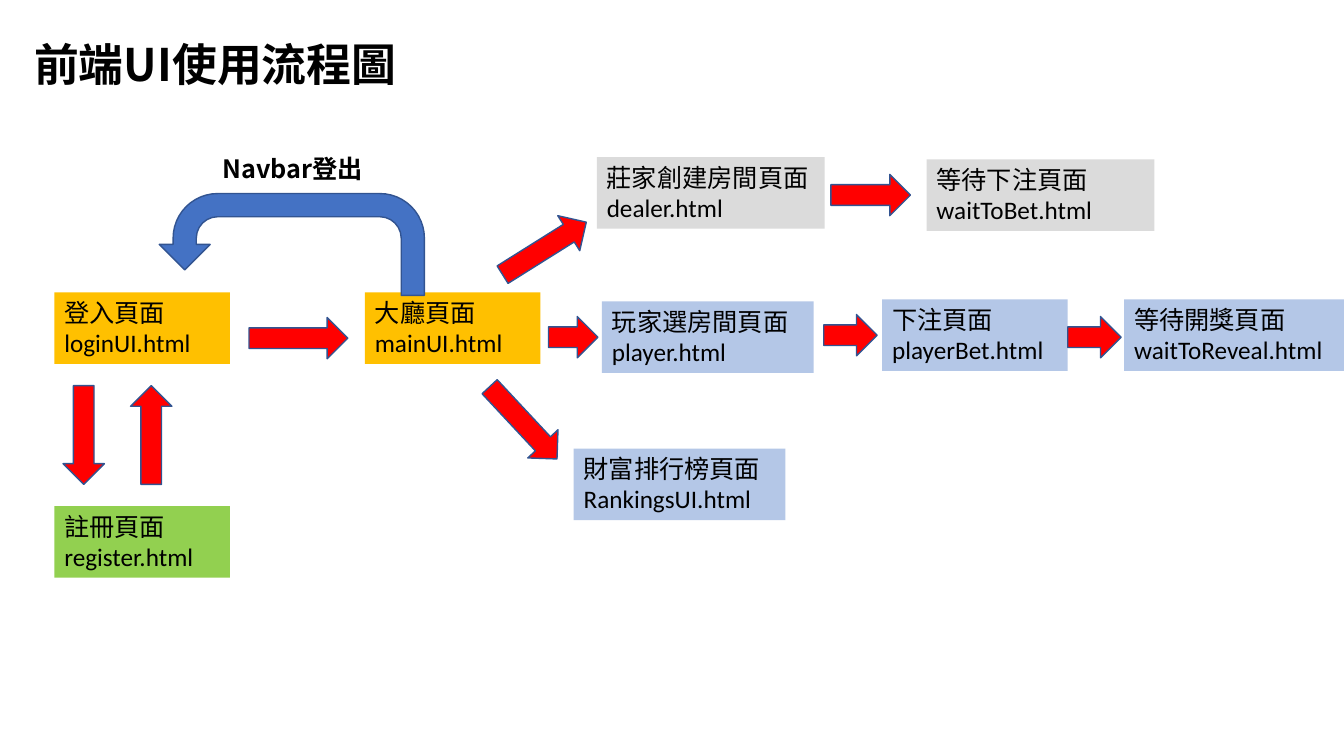
from pptx import Presentation
from pptx.dml.color import RGBColor
from pptx.enum.shapes import MSO_SHAPE
from pptx.enum.text import MSO_ANCHOR, PP_ALIGN
from pptx.oxml.ns import qn
from pptx.util import Inches, Pt

COLORS = {
    "gold": "FFC000", "green": "92D050", "gray": "DBDBDB", "pale": "B4C7E7",
    "red": "FF0000", "blue": "4472C4", "edge": "325491", "ink": "000000",
}
BODY, HEAD = "Calibri", "Noto Sans CJK SC"
PAGE_H, ARROW_H = 0.71, 0.41

PAGES = [
    (0.54, 2.9, 1.74, "gold", "登入頁面", "loginUI.html"),
    (0.54, 5.02, 1.74, "green", "註冊頁面", "register.html"),
    (3.62, 2.9, 1.74, "gold", "大廳頁面", "mainUI.html"),
    (5.92, 1.56, 2.26, "gray", "莊家創建房間頁面", "dealer.html"),
    (9.19, 1.58, 2.26, "gray", "等待下注頁面", "waitToBet.html"),
    (5.97, 2.99, 2.1, "pale", "玩家選房間頁面", "player.html"),
    (8.75, 2.97, 1.84, "pale", "下注頁面", "playerBet.html"),
    (11.15, 2.97, 2.19, "pale", "等待開獎頁面", "waitToReveal.html"),
    (5.69, 4.45, 2.1, "pale", "財富排行榜頁面", "RankingsUI.html"),
]
ARROWS = [
    (2.47, 3.15, 0.98, 0),
    (0.34, 4.11, 0.98, 90),
    (1.01, 4.11, 0.98, 270),
    (4.91, 2.26, 0.98, 327.9),
    (8.24, 1.73, 0.79, 0),
    (5.44, 3.14, 0.49, 0),
    (8.17, 3.12, 0.53, 0),
    (10.59, 3.14, 0.53, 0),
    (4.7, 3.99, 0.98, 47),
]


def color(name):
    """Return the named colour."""
    return RGBColor.from_string(COLORS[name])


def write(shape, text, size, font, bold=False):
    """Write left-aligned text into a shape and format its runs."""
    frame = shape.text_frame
    frame.text = text
    frame.word_wrap = True
    frame.vertical_anchor = MSO_ANCHOR.TOP
    for para in frame.paragraphs:
        para.alignment = PP_ALIGN.LEFT
        for run in para.runs:
            run.font.size = Pt(size)
            run.font.name = font
            run.font.bold = bold
            run.font.color.rgb = color("ink")
            if font == HEAD:
                props = run.font._element
                props.find(qn("a:latin")).addnext(
                    props.makeelement(qn("a:ea"), {"typeface": font}))


def block(slide, kind, box, fill, edge=None):
    """Add a filled shape, outlined when an edge colour is given."""
    shape = slide.shapes.add_shape(kind, *map(Inches, box))
    shape.shadow.inherit = False
    shape.fill.solid()
    shape.fill.fore_color.rgb = color(fill)
    if edge:
        shape.line.color.rgb = color(edge)
        shape.line.width = Pt(1)
    else:
        shape.line.fill.background()
    return shape


def label(slide, box, text, size):
    """Add a bold heading in a text box."""
    write(slide.shapes.add_textbox(*map(Inches, box)), text, size, HEAD, True)


def page(slide, left, top, width, fill, title, name):
    """Add one page box with its title and file name."""
    shape = block(slide, MSO_SHAPE.RECTANGLE, (left, top, width, PAGE_H), fill)
    write(shape, f"{title}\n{name}", 18, BODY)


def arrow(slide, left, top, width, angle):
    """Add one red flow arrow turned by an angle."""
    box = (left, top, width, ARROW_H)
    block(slide, MSO_SHAPE.RIGHT_ARROW, box, "red", "edge").rotation = angle


def logout(slide, left, top, width, height):
    """Add the arrow back to the login page and its label."""
    box = (left, top, width, height)
    turn = block(slide, MSO_SHAPE.U_TURN_ARROW, box, "blue", "edge")
    for i, value in enumerate((0.228, 0.25, 0.25, 0.438, 0.75)):
        turn.adjustments[i] = value
    turn._element.spPr.find(qn("a:xfrm")).set("flipH", "1")
    label(slide, (left + 0.53, top - 0.45, 2.1, 0.4), "Navbar登出", 18)


def main():
    """Build the flow chart slide and save it."""
    deck = Presentation()
    deck.slide_width, deck.slide_height = Inches(13.33), Inches(7.5)
    slide = deck.slides.add_slide(deck.slide_layouts[6])
    label(slide, (0.24, 0.32, 5.02, 0.64), "前端UI使用流程圖", 32)
    for item in PAGES:
        page(slide, *item)
    for item in ARROWS:
        arrow(slide, *item)
    logout(slide, 1.58, 1.92, 2.63, 1.01)
    deck.save("out.pptx")


if __name__ == "__main__":
    main()
